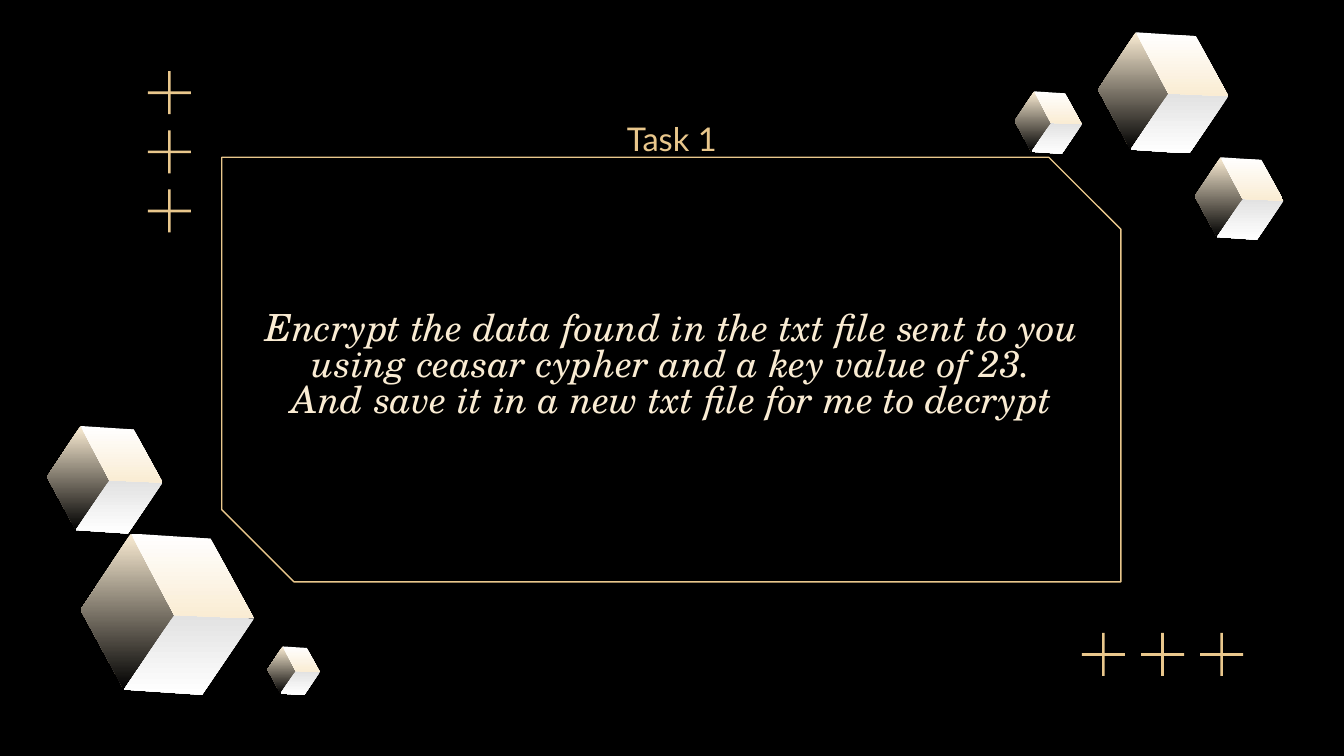
from pptx import Presentation
from pptx.dml.color import RGBColor
from pptx.enum import shapes, text
from pptx.util import Inches, Pt

BLACK = RGBColor(0x00, 0x00, 0x00)
WHITE = RGBColor(0xFF, 0xFF, 0xFF)
GOLD = RGBColor(0xE9, 0xC7, 0x8C)
CREAM = RGBColor(0xFA, 0xEC, 0xD3)
GREY = RGBColor(0xE2, 0xE2, 0xE2)

TOP, LEFT, BOTTOM_LEFT, CENTRE = (0.29, 0), (0, 0.44), (0.25, 0.9), (0.54, 0.47)
RIGHT, BOTTOM_RIGHT, TOP_RIGHT = (1, 0.49), (0.7, 0.93), (0.75, 0.03)
CUBE_FACES = [
    ((TOP, LEFT, BOTTOM_LEFT, CENTRE), CREAM, BLACK),
    ((CENTRE, RIGHT, BOTTOM_RIGHT, BOTTOM_LEFT), GREY, WHITE),
    ((TOP, TOP_RIGHT, RIGHT, CENTRE), WHITE, CREAM),
]
CUBES = [
    (0.6, 3.97, 1.29), (0.35, 3.17, 0.86), (1.99, 4.81, 0.39),
    (8.17, 0.24, 0.97), (8.89, 1.17, 0.66), (7.55, 0.68, 0.5),
]
PLUS_SIZE, PLUS_THICKNESS, PLUS_PITCH = 0.32, 0.02, 0.44


def add_text(slide, left, top, width, height, lines, font_name, size, color,
             italic=False, line_spacing=1.0):
    box = slide.shapes.add_textbox(Inches(left), Inches(top), Inches(width), Inches(height))
    frame = box.text_frame
    frame.word_wrap = True
    frame.vertical_anchor = text.MSO_ANCHOR.MIDDLE
    frame.margin_left = frame.margin_right = Inches(0.1)
    frame.margin_top = frame.margin_bottom = Inches(0.1)
    paragraph = frame.paragraphs[0]
    paragraph.alignment = text.PP_ALIGN.CENTER
    paragraph.line_spacing = line_spacing
    for index, line in enumerate(lines):
        if index:
            paragraph.add_line_break()
        run = paragraph.add_run()
        run.text = line
        run.font.name = font_name
        run.font.size = Pt(size)
        run.font.italic = italic
        run.font.color.rgb = color


def add_task_panel(slide, left, top, width, height):
    frame = slide.shapes.add_shape(
        shapes.MSO_SHAPE.SNIP_2_DIAG_RECTANGLE,
        Inches(left), Inches(top), Inches(width), Inches(height))
    frame.shadow.inherit = False
    frame.adjustments[0] = 0
    frame.adjustments[1] = 0.17
    frame.fill.background()
    frame.line.color.rgb = GOLD
    frame.line.width = Pt(0.75)
    text_left, text_width = left + 0.13, width - 0.25
    add_text(slide, text_left, top + 0.27, text_width, 2.58,
             ["Encrypt the data found in the txt file sent to you using ceasar cypher "
              "and a key value of 23.",
              "And save it in a new txt file for me to decrypt"],
             "TeX Gyre Schola", 20, CREAM, italic=True, line_spacing=0.8)
    add_text(slide, text_left, top - 0.4, text_width, 0.52, ["Task 1"], "Lato", 17.5, GOLD)


def add_plus_signs(slide, left, top, step_x, step_y):
    group = slide.shapes.add_group_shape()
    inset = (PLUS_SIZE - PLUS_THICKNESS) / 2
    for index in range(3):
        x, y = left + index * step_x, top + index * step_y
        for bar_box in ((x, y + inset, PLUS_SIZE, PLUS_THICKNESS),
                        (x + inset, y, PLUS_THICKNESS, PLUS_SIZE)):
            bar = group.shapes.add_shape(shapes.MSO_SHAPE.RECTANGLE, *map(Inches, bar_box))
            bar.shadow.inherit = False
            bar.fill.solid()
            bar.fill.fore_color.rgb = GOLD
            bar.line.fill.background()


def add_cube(slide, left, top, width):
    group = slide.shapes.add_group_shape()
    for corners, start_color, end_color in CUBE_FACES:
        points = [(Inches(left + x * width), Inches(top + y * width)) for x, y in corners]
        builder = group.shapes.build_freeform(*points[0])
        builder.add_line_segments(points[1:], close=True)
        face = builder.convert_to_shape()
        face.shadow.inherit = False
        face.line.fill.background()
        face.fill.gradient()
        face.fill.gradient_angle = 270
        for stop, color in zip(face.fill.gradient_stops, (start_color, end_color)):
            stop.color.rgb = color


def main():
    presentation = Presentation()
    presentation.slide_width = Inches(10)
    presentation.slide_height = presentation.slide_width * 9 // 16
    slide = presentation.slides.add_slide(presentation.slide_layouts[6])
    slide.background.fill.solid()
    slide.background.fill.fore_color.rgb = BLACK
    add_task_panel(slide, 1.65, 1.17, 6.69, 3.16)
    add_plus_signs(slide, 1.1, 0.53, 0, PLUS_PITCH)
    add_plus_signs(slide, 8.05, 4.71, PLUS_PITCH, 0)
    for cube in CUBES:
        add_cube(slide, *cube)
    presentation.save("out.pptx")


if __name__ == "__main__":
    main()
